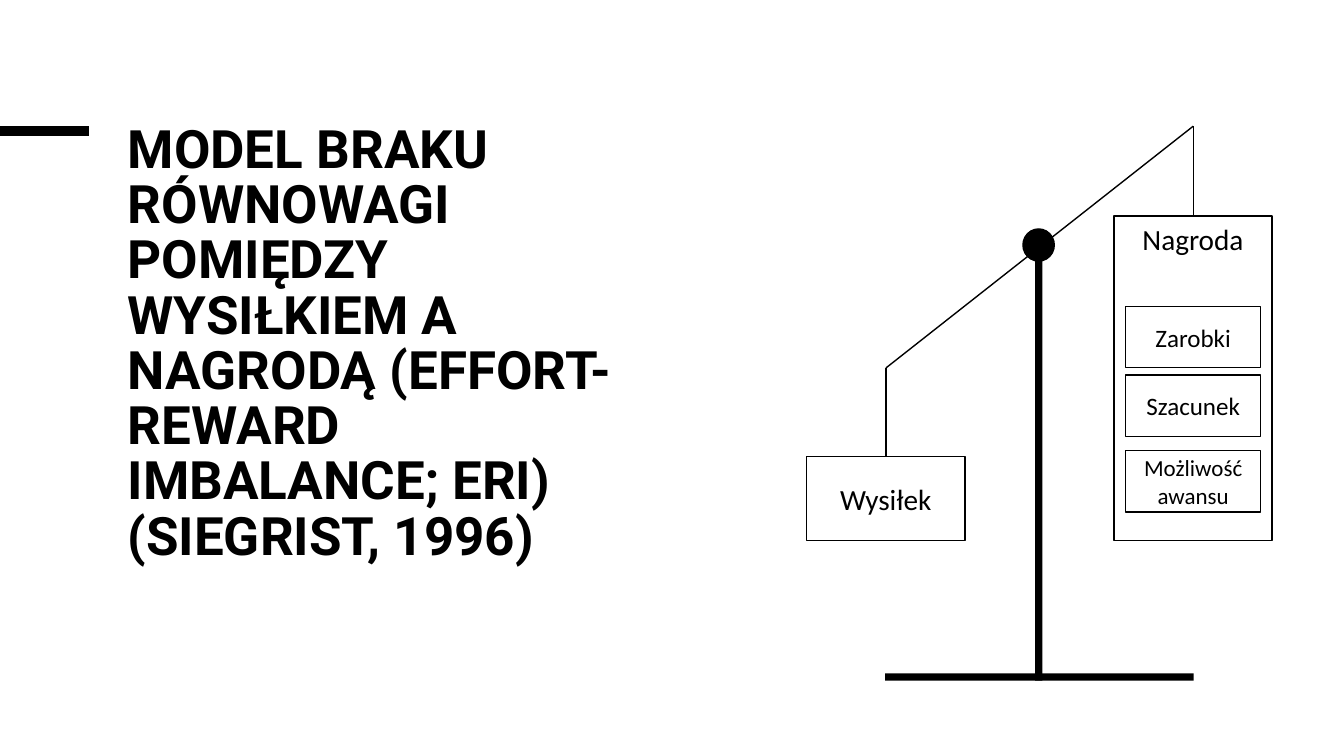
from pptx import Presentation
from pptx.dml.color import RGBColor
from pptx.enum.shapes import MSO_CONNECTOR as Connector, MSO_SHAPE as Shape
from pptx.enum.text import MSO_ANCHOR as Anchor, PP_ALIGN as Align
from pptx.oxml.ns import qn
from pptx.util import Cm, Pt
from lxml.etree import SubElement

BLACK = RGBColor(0, 0, 0)

deck = Presentation()
deck.slide_width, deck.slide_height = Cm(33.87), Cm(19.05)
page = deck.slides.add_slide(deck.slide_layouts[6])


def add_figure(kind, left, top, width, height, filled, outlined):
    figure = page.shapes.add_shape(kind, Cm(left), Cm(top), Cm(width), Cm(height))
    figure.shadow.inherit = False
    if filled:
        figure.fill.solid()
        figure.fill.fore_color.rgb = BLACK
    else:
        figure.fill.background()
    if outlined:
        figure.line.color.rgb = BLACK
        figure.line.width = Pt(1)
    else:
        figure.line.fill.background()
    return figure


def add_text(frame, text, font, size, bold=False):
    frame.word_wrap = True
    para = frame.paragraphs[0]
    span = para.add_run()
    span.text = text
    span.font.name = font
    span.font.size = Pt(size)
    span.font.bold = bold
    span.font.color.rgb = BLACK
    return para


title = page.shapes.add_textbox(Cm(2.97), Cm(3), Cm(13.6), Cm(9.7))
title_para = add_text(
    title.text_frame,
    "MODEL BRAKU RÓWNOWAGI POMIĘDZY WYSIŁKIEM A NAGRODĄ "
    "(EFFORT-REWARD IMBALANCE; ERI)(SIEGRIST, 1996)",
    "Roboto", 37.8, True)
title_para.line_spacing = 0.87

effort_x, reward_x = 22.33, 30.07
beam_low, beam_high = 9.27, 3.18
effort_top, reward_top = 11.51, 5.44

lines = [
    (0, 3.3, 2.24, 3.3, 6.75),
    (reward_x, beam_high, effort_x, beam_low, 1),
    (reward_x, beam_high, reward_x, reward_top, 1),
    (effort_x, beam_low, effort_x, effort_top, 1),
]
for x1, y1, x2, y2, weight in lines:
    line = page.shapes.add_connector(Connector.STRAIGHT, Cm(x1), Cm(y1), Cm(x2), Cm(y2))
    line.line.color.rgb = BLACK
    line.line.width = Pt(weight)
    SubElement(line._element.spPr, qn("a:effectLst"))

add_figure(Shape.OVAL, 25.78, 5.77, 0.79, 0.81, True, True)
add_figure(Shape.RECTANGLE, 26.09, 6.58, 0.18, 10.57, True, False)
add_figure(Shape.RECTANGLE, 22.31, 16.97, 7.77, 0.18, True, False)

boxes = [
    ("Wysiłek", effort_x - 2, effort_top, 3.99, 2.11, 20.9, Anchor.MIDDLE),
    ("Nagroda", reward_x - 2, reward_top, 3.99, 8.18, 20.9, Anchor.TOP),
    ("Zarobki", 28.37, 7.72, 3.4, 1.55, 17.9, Anchor.MIDDLE),
    ("Szacunek", 28.37, 9.45, 3.4, 1.55, 17.9, Anchor.MIDDLE),
    ("Możliwość awansu", 28.37, 11.35, 3.4, 1.55, 16.4, Anchor.MIDDLE),
]
for label, left, top, width, height, size, anchor in boxes:
    box = add_figure(Shape.RECTANGLE, left, top, width, height, False, True)
    box.text_frame.vertical_anchor = anchor
    para = add_text(box.text_frame, label, "Calibri", size)
    para.alignment = Align.CENTER
    para.space_after = Pt(6)

deck.save("out.pptx")
